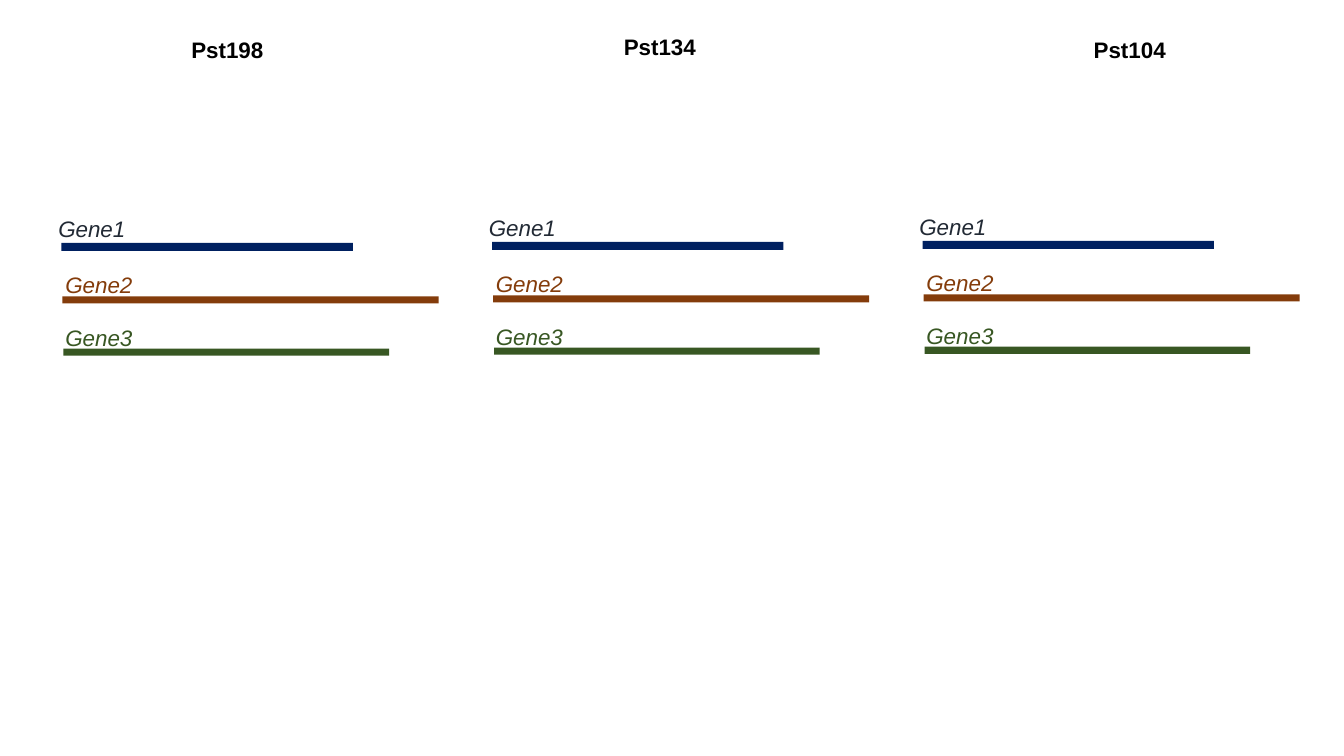
from pptx import Presentation
from pptx.dml.color import RGBColor
from pptx.enum.shapes import MSO_SHAPE as Shape
from pptx.enum.text import MSO_ANCHOR as Anchor, PP_ALIGN as Align
from pptx.util import Inches, Pt

SLIDE_W, SLIDE_H = 13.33, 7.5
PANEL_LEFT, PANEL_TOP = 0.48, 2.14
PANEL_PITCH, PANEL_RISE = 4.27, 0.01
TITLE_W, TITLE_H = 1.97, 0.49
LABEL_W, LABEL_H = 1.43, 0.33

# Strain, title left, title top
STRAINS = [("Pst198", 1.27, 0.34), ("Pst134", 5.56, 0.31), ("Pst104", 10.22, 0.34)]

# Gene, text colour, bar colour, label offset (x, y), bar offset and size (x, y, w, h)
GENES = [
    ("Gene1", "222A35", "002060", (0, 0), (0.13, 0.27, 2.89, 0.08)),
    ("Gene2", "843C0B", "843C0B", (0.07, 0.55), (0.14, 0.8, 3.73, 0.07)),
    ("Gene3", "385723", "385723", (0.07, 1.08), (0.15, 1.32, 3.23, 0.07)),
]


def color(hex_code):
    return RGBColor.from_string(hex_code)


def add_text(slide, text, left, top, width, height, *, ink="000000",
             bold=False, italic=False, align=Align.LEFT, spacing=0.8):
    frame = slide.shapes.add_textbox(
        Inches(left), Inches(top), Inches(width), Inches(height)).text_frame
    frame.word_wrap = True
    frame.vertical_anchor = Anchor.TOP
    paragraph = frame.paragraphs[0]
    paragraph.alignment = align
    paragraph.line_spacing = spacing
    run = paragraph.add_run()
    run.text = text
    run.font.name = "Arial"
    run.font.size = Pt(16)
    run.font.bold = bold
    run.font.italic = italic
    run.font.color.rgb = color(ink)


def add_bar(slide, left, top, width, height, fill):
    bar = slide.shapes.add_shape(
        Shape.RECTANGLE, Inches(left), Inches(top), Inches(width), Inches(height))
    bar.shadow.inherit = False
    bar.fill.solid()
    bar.fill.fore_color.rgb = color(fill)
    bar.line.fill.background()


def add_strain_title(slide, strain, left, top):
    add_text(slide, strain, left, top, TITLE_W, TITLE_H,
             bold=True, align=Align.CENTER, spacing=0.9)


def add_gene_panel(slide, left, top):
    for gene, ink, fill, (label_x, label_y), (bar_x, bar_y, length, thickness) in GENES:
        add_bar(slide, left + bar_x, top + bar_y, length, thickness, fill)
        add_text(slide, gene, left + label_x, top + label_y, LABEL_W, LABEL_H,
                 ink=ink, italic=True)


def main():
    deck = Presentation()
    deck.slide_width, deck.slide_height = Inches(SLIDE_W), Inches(SLIDE_H)
    slide = deck.slides.add_slide(deck.slide_layouts[6])

    # One title and one gene panel per strain
    for column, (strain, title_left, title_top) in enumerate(STRAINS):
        add_strain_title(slide, strain, title_left, title_top)
        add_gene_panel(slide, PANEL_LEFT + column * PANEL_PITCH,
                       PANEL_TOP - column * PANEL_RISE)

    deck.save("out.pptx")


if __name__ == "__main__":
    main()
